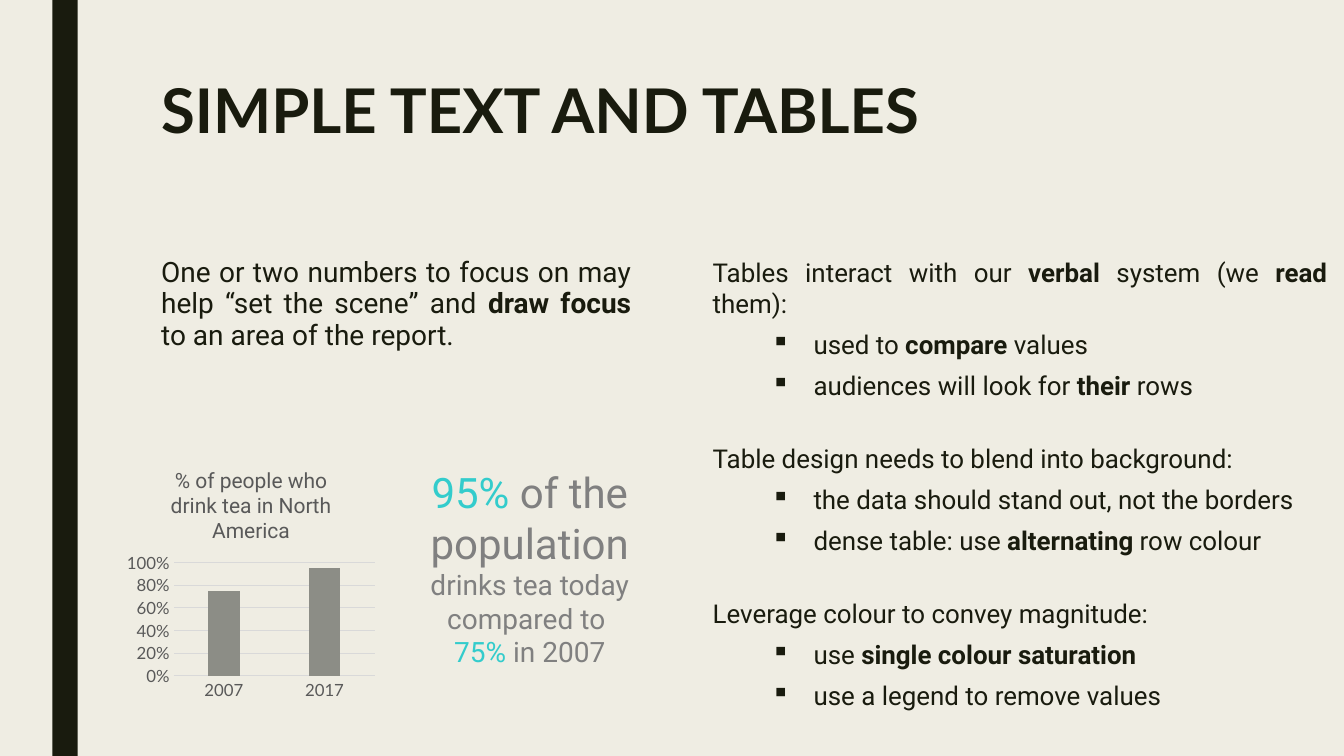
"""Build a slide on simple text and tables with a small tea-drinking chart."""
from lxml import etree
from pptx import Presentation
from pptx.chart.data import CategoryChartData
from pptx.dml.color import RGBColor
from pptx.enum import chart as chart_enum, shapes, text
from pptx.oxml import parse_xml
from pptx.oxml.ns import nsdecls, qn
from pptx.util import Inches, Pt

INK = RGBColor(0x19, 0x1B, 0x0E)
PAPER = RGBColor(0xEF, 0xED, 0xE3)
TEAL = RGBColor(0x33, 0xCC, 0xCC)
GREY = RGBColor(0x80, 0x80, 0x80)
LABEL = RGBColor(0x59, 0x59, 0x59)
GRID = RGBColor(0xD9, 0xD9, 0xD9)
COLUMN = RGBColor(0x8C, 0x8D, 0x86)
JUSTIFY = text.PP_ALIGN.JUSTIFY
CENTER = text.PP_ALIGN.CENTER

presentation = Presentation()
presentation.slide_width = Inches(13.33)
presentation.slide_height = Inches(7.5)
slide = presentation.slides.add_slide(presentation.slide_layouts[6])
slide.background.fill.solid()
slide.background.fill.fore_color.rgb = PAPER

side_bar = slide.shapes.add_shape(
    shapes.MSO_SHAPE.RECTANGLE, Inches(0.52), 0, Inches(0.25), Inches(7.5))
side_bar.shadow.inherit = False
side_bar.fill.solid()
side_bar.fill.fore_color.rgb = INK
side_bar.line.fill.background()


def add_text_frame(left, top, width, height):
    box = slide.shapes.add_textbox(Inches(left), Inches(top), Inches(width), Inches(height))
    box.text_frame.word_wrap = True
    return box.text_frame


def add_paragraph(frame, runs, formats, bullet=False):
    """Append a paragraph of (text, size, colour, bold) runs."""
    first = frame.paragraphs[0]
    paragraph = frame.add_paragraph() if first.runs else first
    for name, value in formats.items():
        setattr(paragraph, name, value)
    if bullet:
        properties = paragraph._p.get_or_add_pPr()
        properties.set("marL", str(Inches(1)))
        properties.set("indent", str(Inches(-0.42)))
        etree.SubElement(properties, qn("a:buChar")).set("char", "▪")
    for words, size, color, bold in runs:
        run = paragraph.add_run()
        run.text = words
        for name, value in {"name": "Roboto", "size": Pt(size), "bold": bold}.items():
            setattr(run.font, name, value)
        run.font.color.rgb = color
    return paragraph


title = add_text_frame(1.5, 0.75, 10.5, 1.62)
heading = add_paragraph(title, [("SIMPLE TEXT AND TABLES", 44, INK, True)],
                        {"line_spacing": 0.89})
heading.runs[0].font.name = "Lato"

add_paragraph(add_text_frame(1.5, 2.5, 4.86, 1.2), [
    ("One or two numbers to focus on may help “set the scene” and ", 20, INK, False),
    ("draw focus ", 20, INK, True),
    ("to an area of the report.", 20, INK, False),
], {"alignment": JUSTIFY, "line_spacing": 0.94})

chart_data = CategoryChartData(number_format="0%")
chart_data.categories = ["2007", "2017"]
chart_data.add_series("Series 1", (0.75, 0.95))
chart = slide.shapes.add_chart(
    chart_enum.XL_CHART_TYPE.COLUMN_CLUSTERED,
    Inches(1.21), Inches(4.48), Inches(2.56), Inches(2.5), chart_data).chart
chart.has_legend = False
chart.font.name = "Lato"
chart.font.size = Pt(10)
add_paragraph(chart.chart_title.text_frame,
              [("% of people who drink tea in North America", 15, LABEL, False)], {})

plot = chart.plots[0]
for name, value in {"gap_width": 219, "overlap": -27, "vary_by_categories": False}.items():
    setattr(plot, name, value)
columns = plot.series[0].format.fill
columns.solid()
columns.fore_color.rgb = COLUMN

for axis in (chart.category_axis, chart.value_axis):
    axis.major_tick_mark = chart_enum.XL_TICK_MARK.NONE
    axis.minor_tick_mark = chart_enum.XL_TICK_MARK.NONE
    axis.tick_labels.font.name = "Lato"
    axis.tick_labels.font.size = Pt(12)
    axis.tick_labels.font.color.rgb = LABEL
value_axis = chart.value_axis
for name, value in {"minimum_scale": 0, "maximum_scale": 1, "major_unit": 0.2}.items():
    setattr(value_axis, name, value)
value_axis.tick_labels.number_format = "0%"
value_axis.tick_labels.number_format_is_linked = False
value_axis.format.line.fill.background()
for line in (chart.category_axis.format.line, value_axis.major_gridlines.format.line):
    line.color.rgb = GRID
    line.width = Pt(0.75)

plot_area = chart._chartSpace.chart.plotArea
for old_layout in plot_area.findall(qn("c:layout")):
    plot_area.remove(old_layout)
plot_area.insert(0, parse_xml(
    f'<c:layout {nsdecls("c")}><c:manualLayout><c:layoutTarget val="inner"/>'
    '<c:xMode val="edge"/><c:yMode val="edge"/><c:x val="0.2"/><c:y val="0.44"/>'
    '<c:w val="0.78"/><c:h val="0.45"/></c:manualLayout></c:layout>'))

callout = add_text_frame(4.14, 4.58, 2.23, 2.12)
for runs in (
    [("95% ", 30, TEAL, False), ("of the population", 30, GREY, False)],
    [("drinks tea today compared to ", 20, GREY, False)],
    [("75% ", 20, TEAL, False), ("in 2007", 20, GREY, False)],
):
    add_paragraph(callout, runs, {"alignment": CENTER})

table_advice = [
    (["Tables interact with our ", "verbal", " system (we ", "read", " them):"],
     [["used to ", "compare", " values"],
      ["audiences will look for ", "their", " rows"]]),
    (["Table design needs to blend into background:"],
     [["the data should stand out, not the borders"],
      ["dense table: use ", "alternating", " row colour"]]),
    (["Leverage colour to convey magnitude:"],
     [["use ", "single colour saturation"],
      ["use a legend to remove values"]]),
]
advice = add_text_frame(6.97, 2.5, 6.29, 4.53)
for group, (lead, points) in enumerate(table_advice):
    for row, parts in enumerate([lead] + points):
        space_before = 5 if row else 28 if group else 0
        runs = [(words, 18.5, INK, index % 2 == 1) for index, words in enumerate(parts)]
        add_paragraph(advice, runs, {
            "alignment": JUSTIFY, "level": 1 if row else 0,
            "space_before": Pt(space_before), "space_after": Pt(2),
        }, bullet=row > 0)

presentation.save("out.pptx")
